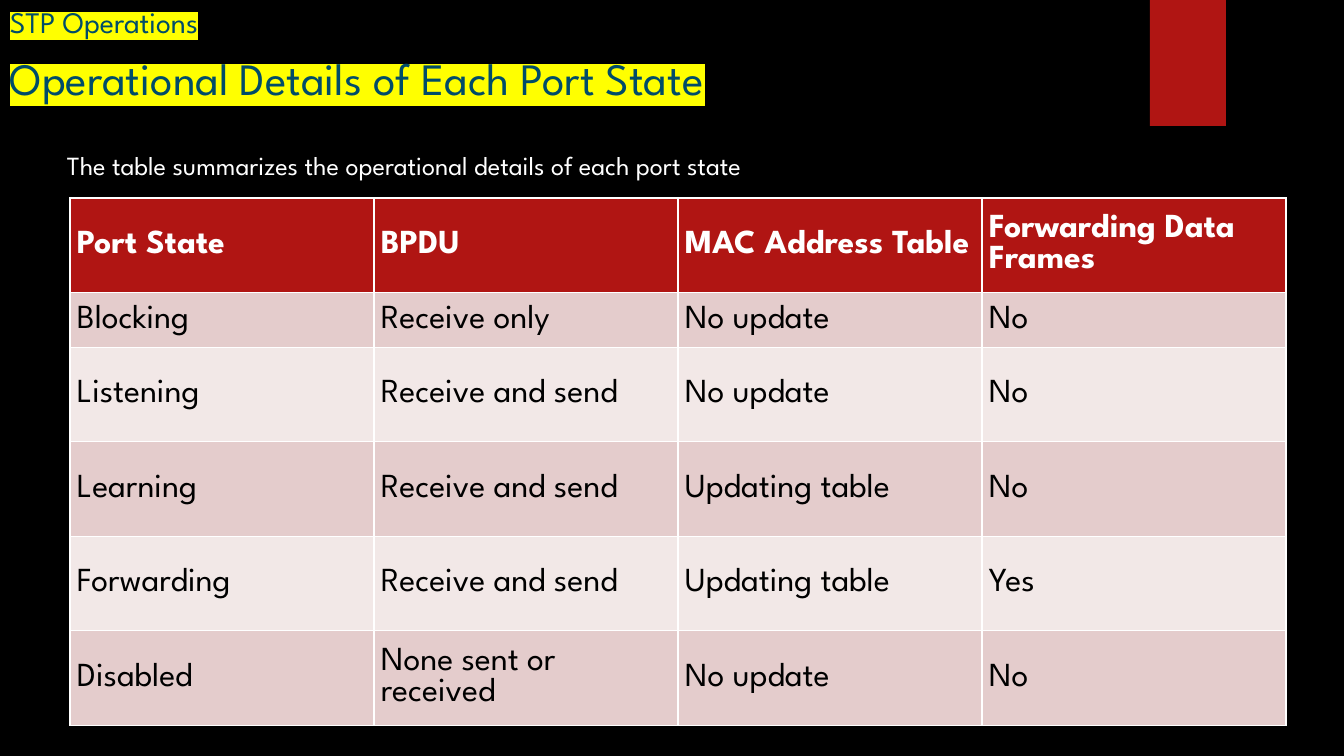
from lxml import etree
from pptx import Presentation
from pptx.dml.color import RGBColor
from pptx.enum.shapes import MSO_SHAPE
from pptx.enum.text import MSO_ANCHOR
from pptx.oxml.ns import qn
from pptx.util import Pt

WIDE, HIGH = 1344, 756
SCALE = 12192000 / WIDE

RECT = MSO_SHAPE.RECTANGLE
MIDDLE = MSO_ANCHOR.MIDDLE

FONT = "League Spartan"
BLACK = RGBColor(0x00, 0x00, 0x00)
WHITE = RGBColor(0xFF, 0xFF, 0xFF)
RED = RGBColor(0xB0, 0x15, 0x13)
NAVY = RGBColor(0x00, 0x4C, 0x69)
YELLOW = RGBColor(0xFF, 0xFF, 0x00)
BANDS = (RGBColor(0xE4, 0xCC, 0xCC), RGBColor(0xF2, 0xE8, 0xE7))

STATES = (
    ("Port State", "BPDU", "MAC Address Table", "Forwarding Data Frames"),
    ("Blocking", "Receive only", "No update", "No"),
    ("Listening", "Receive and send", "No update", "No"),
    ("Learning", "Receive and send", "Updating table", "No"),
    ("Forwarding", "Receive and send", "Updating table", "Yes"),
    ("Disabled", "None sent or received", "No update", "No"),
)
COL = 304
ROWS = (94, 55, 94, 95, 94, 95)


def px(count):
    return round(count * SCALE)


def style(para, size, color, bold=False):
    for run in para.runs:
        run.font.name = FONT
        run.font.size = Pt(size)
        run.font.bold = bold
        run.font.color.rgb = color


def mark(para, color):
    """Highlight the runs; the element must follow the text fill."""
    for run in para.runs:
        light = etree.Element(qn("a:highlight"))
        etree.SubElement(light, qn("a:srgbClr"), val=str(color))
        run.font._element.find(qn("a:solidFill")).addnext(light)


def add_box(slide, left, top, width, height, wrap=True):
    box = slide.shapes.add_textbox(px(left), px(top), px(width), px(height))
    frame = box.text_frame
    frame.word_wrap = wrap
    return frame


def add_title(slide):
    frame = add_box(slide, 0, 0, 1227, 108)
    frame.vertical_anchor = MIDDLE
    frame.text = "STP Operations\nOperational Details of Each Port State"
    for para, size in zip(frame.paragraphs, (21.3, 32)):
        style(para, size, NAVY)
        mark(para, YELLOW)
    frame.paragraphs[1].space_before = Pt(8.6)


def add_intro(slide):
    frame = add_box(slide, 57, 144, 828, 42, wrap=False)
    frame.text = "The table summarizes the operational details of each port state"
    style(frame.paragraphs[0], 18.7, WHITE)


def add_tab(slide):
    tab = slide.shapes.add_shape(RECT, px(1150), 0, px(76), px(126))
    tab.shadow.inherit = False
    tab.fill.solid()
    tab.fill.fore_color.rgb = RED
    tab.line.fill.background()


def edge(cell, color):
    """Draw a 1 pt line on all four sides; lines must precede the fill."""
    props = cell._tc.get_or_add_tcPr()
    for spot, side in enumerate(("a:lnL", "a:lnR", "a:lnT", "a:lnB")):
        line = etree.Element(qn(side), w=str(Pt(1)))
        fill = etree.SubElement(line, qn("a:solidFill"))
        etree.SubElement(fill, qn("a:srgbClr"), val=str(color))
        props.insert(spot, line)


def fill_cell(cell, text, row):
    head = row == 0
    cell.text = text
    cell.vertical_anchor = MIDDLE
    cell.margin_left = cell.margin_right = px(7)
    cell.margin_top = cell.margin_bottom = px(7)
    cell.fill.solid()
    cell.fill.fore_color.rgb = RED if head else BANDS[(row - 1) % 2]
    style(cell.text_frame.paragraphs[0], 24, WHITE if head else BLACK, head)
    edge(cell, WHITE)


def add_states(slide):
    cols = len(STATES[0])
    frame = slide.shapes.add_table(
        len(STATES), cols, px(70), px(198), px(COL * cols), px(sum(ROWS)))
    table = frame.table
    for col in table.columns:
        col.width = px(COL)
    for r, (height, words) in enumerate(zip(ROWS, STATES)):
        table.rows[r].height = px(height)
        for c, text in enumerate(words):
            fill_cell(table.cell(r, c), text, r)


def main():
    deck = Presentation()
    deck.slide_width, deck.slide_height = px(WIDE), px(HIGH)
    slide = deck.slides.add_slide(deck.slide_layouts[6])
    slide.background.fill.solid()
    slide.background.fill.fore_color.rgb = BLACK
    add_tab(slide)
    add_title(slide)
    add_intro(slide)
    add_states(slide)
    deck.save("out.pptx")


if __name__ == "__main__":
    main()
